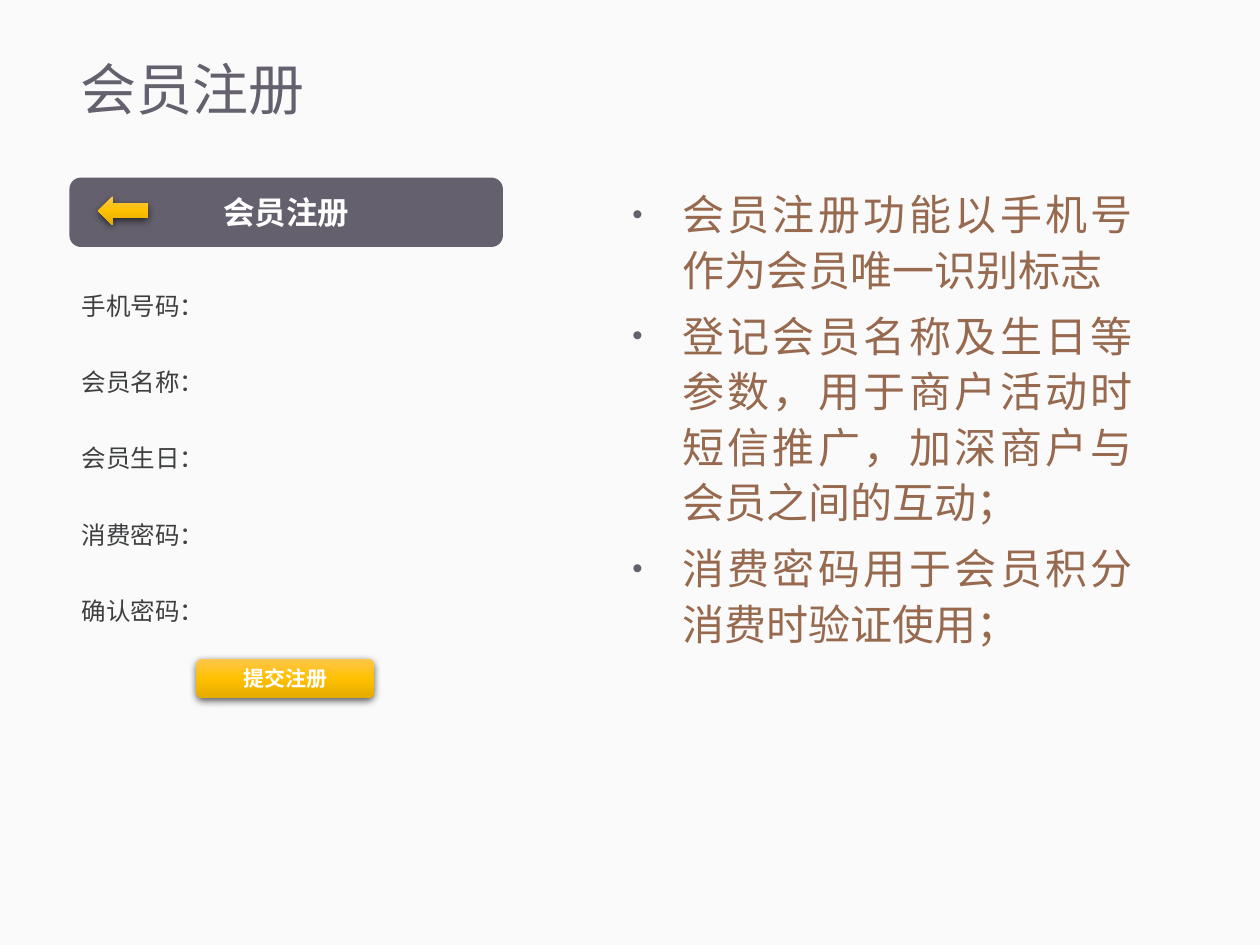
from lxml import etree
from pptx import Presentation, util as u
from pptx.dml.color import RGBColor
from pptx.enum import shapes, text
from pptx.oxml import parse_xml
from pptx.oxml.ns import nsdecls, qn

BACKGROUND = RGBColor(0xFA, 0xFA, 0xFA)
SLATE = RGBColor(0x64, 0x60, 0x6D)
BROWN = RGBColor(0x97, 0x6A, 0x4F)
DARK = RGBColor(0x3D, 0x3F, 0x41)
WHITE = RGBColor(0xFF, 0xFF, 0xFF)
GOLD_STOPS = (
    (0, RGBColor(0xFF, 0xC6, 0x4B)),
    (50, RGBColor(0xFF, 0xC0, 0x00)),
    (100, RGBColor(0xE3, 0xAB, 0x00)),
)
CJK_FONT = "Noto Sans CJK SC"


def write_text(frame, lines, *, size, color, font=CJK_FONT, bold=False,
               align=None, spacing=None, before=0, first_before=None):
    """Fill a text frame with one paragraph per line."""
    for index, line in enumerate(lines):
        paragraph = frame.paragraphs[0] if index == 0 else frame.add_paragraph()
        paragraph.alignment = align
        paragraph.line_spacing = spacing
        first = index == 0 and first_before is not None
        paragraph.space_before = u.Pt(first_before if first else before)
        run = paragraph.add_run()
        run.text = line
        run.font.size = u.Pt(size)
        run.font.bold = bold
        run.font.color.rgb = color
        run.font.name = font
        east_asian = etree.SubElement(run._r.get_or_add_rPr(), qn("a:ea"))
        east_asian.set("typeface", CJK_FONT)


class SlideBuilder:
    def __init__(self, slide):
        self.slide = slide
        fill = slide.background.fill
        fill.solid()
        fill.fore_color.rgb = BACKGROUND

    def text_box(self, box, lines, anchor=text.MSO_ANCHOR.TOP, **style):
        shape = self.slide.shapes.add_textbox(*map(u.Cm, box))
        shape.text_frame.word_wrap = True
        shape.text_frame.vertical_anchor = anchor
        write_text(shape.text_frame, lines, **style)
        return shape

    def bullets(self, box, lines, **style):
        shape = self.text_box(box, lines, **style)
        for paragraph in shape.text_frame.paragraphs:
            properties = paragraph._p.get_or_add_pPr()
            properties.set("marL", str(u.Cm(1)))
            properties.set("indent", str(u.Cm(-1)))
            color = etree.SubElement(properties, qn("a:buClr"))
            etree.SubElement(color, qn("a:srgbClr")).set("val", str(SLATE))
            etree.SubElement(properties, qn("a:buSzPct")).set("val", "70000")
            etree.SubElement(properties, qn("a:buFont")).set("typeface", "Arial")
            etree.SubElement(properties, qn("a:buChar")).set("char", "•")

    def block(self, kind, box, label=None, size=18):
        """Add a slate shape, with a white bold label if given."""
        shape = self.slide.shapes.add_shape(kind, *map(u.Cm, box))
        shape.shadow.inherit = False
        shape.fill.solid()
        shape.fill.fore_color.rgb = SLATE
        shape.line.fill.background()
        if label:
            shape.text_frame.vertical_anchor = text.MSO_ANCHOR.MIDDLE
            write_text(shape.text_frame, [label], size=size, color=WHITE,
                       bold=True, align=text.PP_ALIGN.CENTER)
        return shape

    def gold_block(self, kind, box, label=None, size=12):
        """Add a block with a gold gradient and a soft shadow."""
        properties = self.block(kind, box, label, size)._element.spPr
        stops = "".join(
            f'<a:gs pos="{position * 1000}"><a:srgbClr val="{color}"/></a:gs>'
            for position, color in GOLD_STOPS)
        gradient = parse_xml(
            f'<a:gradFill {nsdecls("a")} rotWithShape="1"><a:gsLst>{stops}</a:gsLst>'
            '<a:lin ang="5400000" scaled="0"/></a:gradFill>')
        properties.replace(properties.find(qn("a:solidFill")), gradient)
        shadow = parse_xml(
            f'<a:outerShdw {nsdecls("a")} blurRad="{u.Pt(4.5)}" dist="{u.Pt(1.5)}"'
            ' dir="5400000" rotWithShape="0"><a:srgbClr val="000000">'
            '<a:alpha val="63000"/></a:srgbClr></a:outerShdw>')
        properties.find(qn("a:effectLst")).append(shadow)


def main():
    presentation = Presentation()
    presentation.slide_width = u.Cm(25.4)
    presentation.slide_height = u.Cm(19.05)
    builder = SlideBuilder(presentation.slides.add_slide(presentation.slide_layouts[6]))
    preset = shapes.MSO_SHAPE

    # Title
    builder.text_box((1.37, 0.56, 22.81, 2.59), ["会员注册"],
                     anchor=text.MSO_ANCHOR.MIDDLE, size=32, color=SLATE, spacing=0.9)

    # Explanation
    builder.bullets((12.5, 3.58, 10.59, 13.69), [
        "会员注册功能以手机号作为会员唯一识别标志",
        "登记会员名称及生日等参数，用于商户活动时短信推广，加深商户与会员之间的互动；",
        "消费密码用于会员积分消费时验证使用；",
    ], size=24, color=BROWN, align=text.PP_ALIGN.JUSTIFY, spacing=u.Pt(31.7), before=6)

    # Form header with back arrow
    builder.block(preset.ROUNDED_RECTANGLE, (1.4, 3.58, 8.74, 1.4), "会员注册")
    builder.gold_block(preset.LEFT_ARROW, (1.98, 3.96, 1, 0.58))

    # Form fields
    fields = ("手机号码", "会员名称", "会员生日", "消费密码", "确认密码")
    builder.text_box((1.4, 5.56, 8.74, 7.26), [f"{field}：" for field in fields],
                     size=14, color=DARK, font="Arial",
                     spacing=u.Pt(21.8), before=21.8, first_before=0)

    # Submit button
    builder.gold_block(preset.ROUNDED_RECTANGLE, (3.96, 13.28, 3.58, 0.8), "提交注册")

    presentation.save("out.pptx")


if __name__ == "__main__":
    main()
